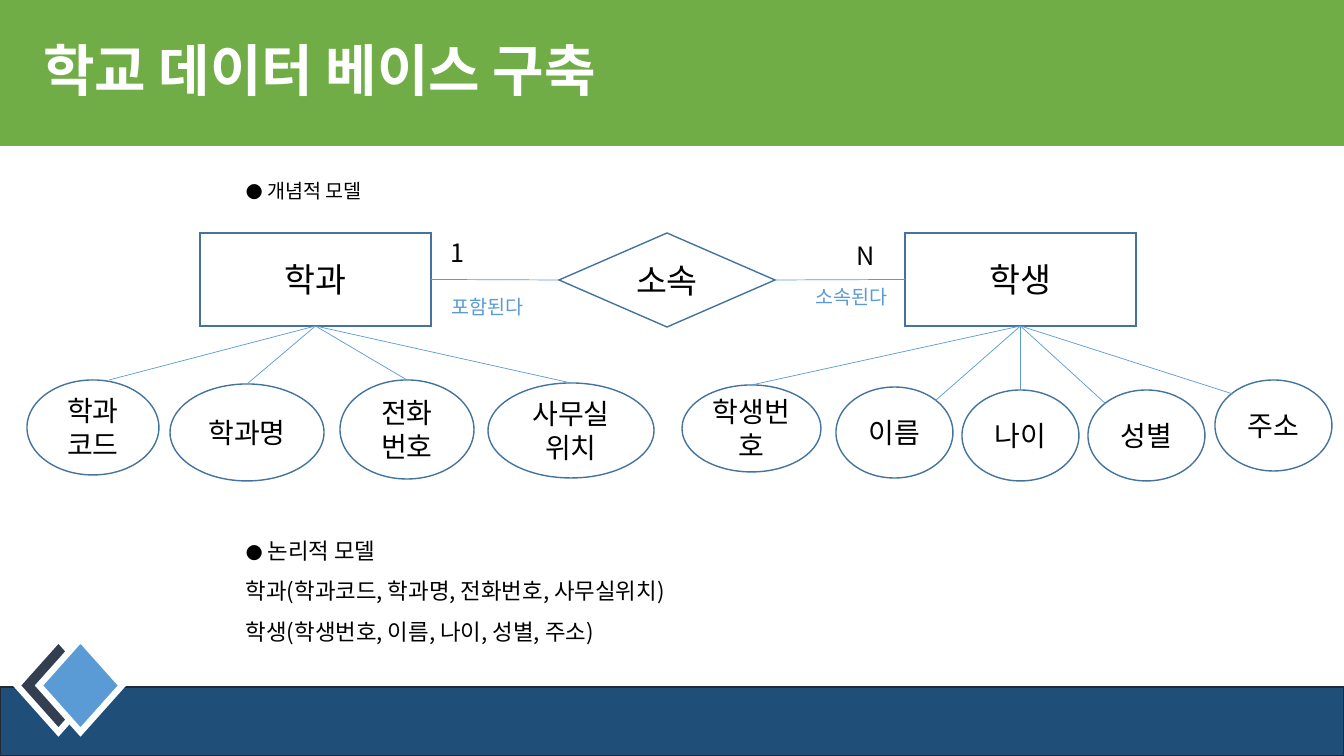
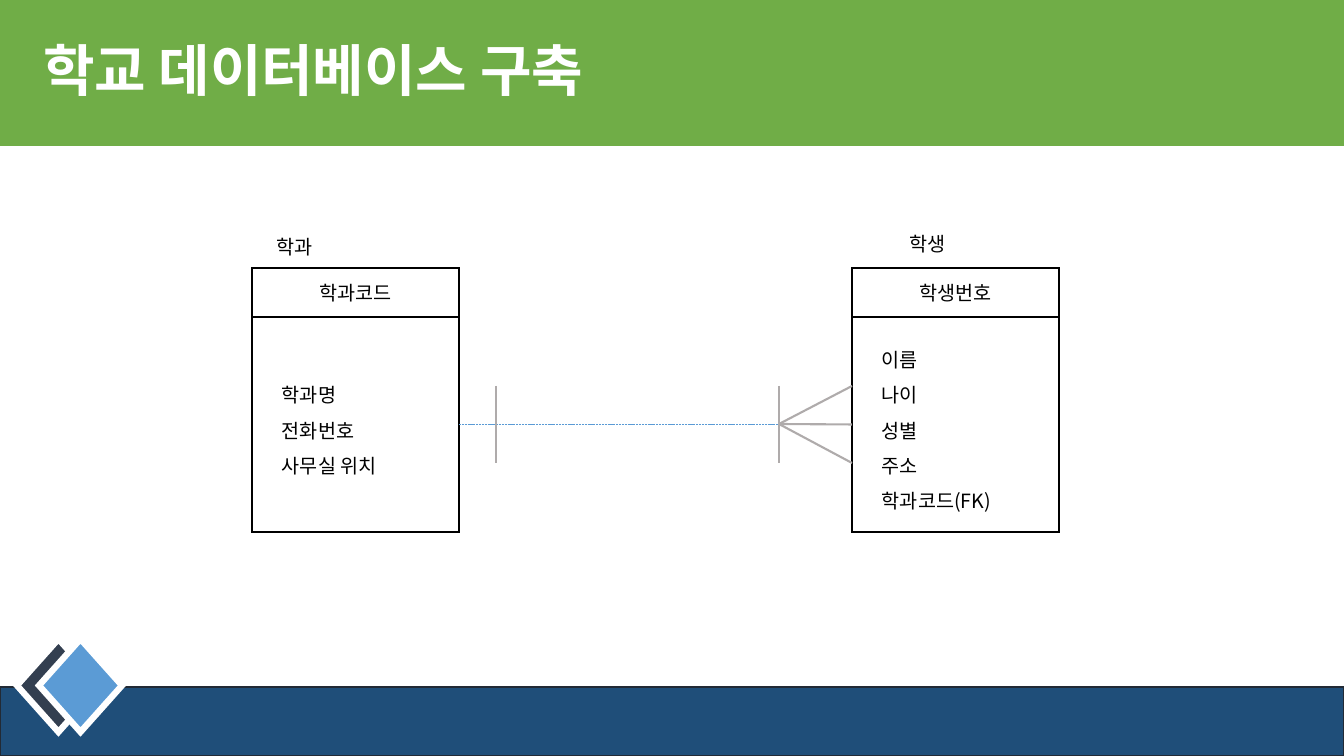
import lxml.etree
import pptx
import pptx.dml.color
import pptx.enum.dml
import pptx.enum.shapes
import pptx.enum.text
import pptx.oxml.ns
import pptx.util

FONT = "Noto Sans CJK KR"
SLIDE_W, SLIDE_H = 1344, 756
EMU_PER_PX = 12192000 / SLIDE_W

WHITE, BLACK = "FFFFFF", "000000"
GREEN, NAVY, NAVY_EDGE, SLATE = "70AD47", "1F4E79", "222A35", "333F50"
BLUE, BLUE_EDGE, GRAY = "5B9BD5", "43739E", "AFABAB"

PRESET = pptx.enum.shapes.MSO_SHAPE
ALIGN = pptx.enum.text.PP_ALIGN
MIDDLE = pptx.enum.text.MSO_ANCHOR.MIDDLE
TOP, LEFT, BOTTOM, RIGHT = range(4)

# Where a line meets an attribute ellipse, as fractions of its width and height
AT_TOP, AT_UPPER_LEFT, AT_UPPER_RIGHT = (0.5, 0), (0.15, 0.15), (0.85, 0.15)

DEPARTMENT_ATTRIBUTES = [
    ("학과코드", (0, 147, 132, 95), (0.62, 0)),
    ("학과명", (143, 151, 154, 97), AT_TOP),
    ("전화번호", (313, 147, 134, 99), AT_TOP),
    ("사무실위치", (461, 150, 166, 95), AT_TOP),
]
STUDENT_ATTRIBUTES = [
    ("학생번호", (0, 152, 139, 87), AT_TOP),
    ("이름", (154, 154, 117, 91), AT_UPPER_RIGHT),
    ("나이", (280, 157, 117, 91), AT_TOP),
    ("성별", (406, 157, 117, 91), AT_UPPER_LEFT),
    ("주소", (533, 147, 117, 91), AT_UPPER_LEFT),
]


def px(*lengths):
    return [round(length * EMU_PER_PX) for length in lengths]


def color(hex_code):
    return pptx.dml.color.RGBColor.from_string(hex_code)


def add_run(paragraph, text, size, hex_code=BLACK, bold=False):
    run = paragraph.add_run()
    run.text = text
    run.font.size = pptx.util.Pt(size)
    run.font.bold = bold
    run.font.color.rgb = color(hex_code)
    run.font.name = FONT
    east_asian = lxml.etree.SubElement(run.font._element, pptx.oxml.ns.qn("a:ea"))
    east_asian.set("typeface", FONT)


def write(shape, paragraphs, align=ALIGN.CENTER, spacing=None):
    """Fill a shape with paragraphs, each a list of add_run arguments."""
    frame = shape.text_frame
    frame.word_wrap = True
    for index, runs in enumerate(paragraphs):
        paragraph = frame.add_paragraph() if index else frame.paragraphs[0]
        paragraph.alignment = align
        if spacing:
            paragraph.line_spacing = spacing
        for run in runs:
            add_run(paragraph, *run)
    return frame


def add_box(slide, preset, box, fill, edge, weight=1):
    shape = slide.shapes.add_shape(preset, *px(*box))
    shape.shadow.inherit = False
    shape.fill.solid()
    shape.fill.fore_color.rgb = color(fill)
    shape.line.color.rgb = color(edge)
    shape.line.width = pptx.util.Pt(weight)
    outline = shape._element.spPr.find(pptx.oxml.ns.qn("a:ln"))
    lxml.etree.SubElement(outline, pptx.oxml.ns.qn("a:miter")).set("lim", "800000")
    shape.text_frame.vertical_anchor = MIDDLE
    return shape


def add_label(slide, box, text, size, hex_code=BLACK):
    label = slide.shapes.add_textbox(*px(*box))
    write(label, [[(text, size, hex_code)]]).vertical_anchor = MIDDLE


def add_line(slide, start, end, hex_code=BLUE, weight=0.5, dash=None):
    """Draw a line; each end is a point in px or a (shape, side) pair."""
    joins = [point if hasattr(point[0], "shape_id") else None for point in (start, end)]
    x1, y1 = (0, 0) if joins[0] else px(*start)
    x2, y2 = (0, 0) if joins[1] else px(*end)
    line = slide.shapes.add_connector(
        pptx.enum.shapes.MSO_CONNECTOR.STRAIGHT, x1, y1, x2, y2)
    if joins[0]:
        line.begin_connect(*joins[0])
    if joins[1]:
        line.end_connect(*joins[1])
    line.line.color.rgb = color(hex_code)
    line.line.width = pptx.util.Pt(weight)
    if dash:
        line.line.dash_style = dash
    lxml.etree.SubElement(line._element.spPr, pptx.oxml.ns.qn("a:effectLst"))


def add_title_band(slide, title, box):
    band = slide.shapes.title
    band.left, band.top, band.width, band.height = px(*box)
    band.fill.solid()
    band.fill.fore_color.rgb = color(GREEN)
    frame = write(band, [[(title, 40, WHITE, True)]], ALIGN.LEFT, 0.9)
    frame.auto_size = pptx.enum.text.MSO_AUTO_SIZE.NONE
    frame.vertical_anchor = MIDDLE
    frame.margin_left, = px(43)


def add_footer(slide, box):
    left, top, _, _ = box
    add_box(slide, PRESET.RECTANGLE, box, NAVY, NAVY_EDGE)
    for offset, fill in ((17, SLATE), (39, BLUE)):
        add_box(slide, PRESET.DIAMOND, (left + offset, top - 48, 83, 93),
                fill, WHITE, 4.5)


def new_slide(deck, title):
    slide = deck.slides.add_slide(deck.slide_layouts[5])
    add_title_band(slide, title, (0, 0, SLIDE_W, 146))
    add_footer(slide, (0, 687, SLIDE_W, 69))
    return slide


def add_entity(slide, origin, name, name_offset, attributes):
    """Draw an entity over its attribute ellipses, offset from origin."""
    left, top = origin
    entity = add_box(slide, PRESET.RECTANGLE, (left + name_offset, top, 231, 93),
                     WHITE, BLUE_EDGE)
    write(entity, [[(name, 24)]])
    for text, (dx, dy, width, height), contact in attributes:
        x, y = left + dx, top + dy
        attribute = add_box(slide, PRESET.OVAL, (x, y, width, height),
                            WHITE, BLUE_EDGE)
        write(attribute, [[(text, 20)]])
        if contact == AT_TOP:
            end = (attribute, TOP)
        else:
            end = (round(x + contact[0] * width), round(y + contact[1] * height))
        add_line(slide, (entity, BOTTOM), end)
    return entity


def add_relationship(slide, box, department, student):
    left, top, width, height = box
    right = left + width
    belongs = add_box(slide, PRESET.DIAMOND, box, WHITE, BLUE_EDGE)
    write(belongs, [[("소속", 24)]])
    add_line(slide, (department, RIGHT), (belongs, LEFT))
    add_line(slide, (belongs, RIGHT), (student, LEFT))
    add_label(slide, (left - 125, top + 2, 48, 34), "1", 18)
    add_label(slide, (right + 71, top + 4, 39, 36), "N", 18)
    add_label(slide, (left - 122, top + 53, 101, 41), "포함된다", 14, BLUE)
    add_label(slide, (right + 26, top + 52, 102, 24), "소속된다", 14, BLUE)


def add_model_text(slide, box, heading, size, lines=(), spacing=None):
    text = slide.shapes.add_textbox(*px(*box))
    paragraphs = [[("●", 12), (" " + heading, size)]]
    paragraphs += [[(line, size)] for line in lines]
    write(text, paragraphs, ALIGN.LEFT, spacing)


def add_schema(slide, box, name, name_offset, key, columns):
    """Draw a table schema; return its column box."""
    left, top, width, height = box
    dx, dy = name_offset
    key_height = 49
    add_label(slide, (left + dx, top + dy, 85, 44), name, 14)
    body = add_box(slide, PRESET.RECTANGLE,
                   (left, top + key_height, width, height - key_height), WHITE, BLACK)
    frame = write(body, [[(column, 14)] for column in columns], ALIGN.LEFT, 1.5)
    frame.margin_left, = px(30)
    header = add_box(slide, PRESET.RECTANGLE, (left, top, width, key_height),
                     WHITE, BLACK)
    write(header, [[(key, 14)]])
    return body


def add_crow_foot(slide, box, department, student):
    left, top, width, height = box
    right, bottom = left + width, top + height
    one, many = left + 37, right - 73
    fork = (many, top + height // 2)
    add_line(slide, (department, RIGHT), (student, LEFT),
             dash=pptx.enum.dml.MSO_LINE.SQUARE_DOT)
    strokes = [((x, top), (x, bottom)) for x in (one, many)]
    strokes += [(fork, end) for end in ((right, top), (right, bottom), (student, LEFT))]
    for start, end in strokes:
        add_line(slide, start, end, GRAY, 1.5)


def build_concept_slide(deck):
    slide = new_slide(deck, "학교 데이터 베이스 구축")
    department = add_entity(slide, (27, 233), "학과", 173, DEPARTMENT_ATTRIBUTES)
    student = add_entity(slide, (682, 233), "학생", 223, STUDENT_ATTRIBUTES)
    add_relationship(slide, (559, 233, 216, 94), department, student)
    add_model_text(slide, (236, 174, 157, 34), "개념적 모델", 14)
    add_model_text(slide, (236, 519, 781, 127), "논리적 모델", 16, [
        "학과(학과코드, 학과명, 전화번호, 사무실위치)",
        "학생(학생번호, 이름, 나이, 성별, 주소)",
    ], 1.5)


def build_schema_slide(deck):
    slide = new_slide(deck, "학교 데이터베이스 구축")
    department = add_schema(slide, (252, 268, 207, 264), "학과", (0, -43), "학과코드",
                            ["학과명", "전화번호", "사무실 위치"])
    student = add_schema(slide, (852, 268, 207, 264), "학생", (33, -46), "학생번호",
                         ["이름", "나이", "성별", "주소", "학과코드(FK)"])
    add_crow_foot(slide, (459, 386, 393, 77), department, student)


def main():
    deck = pptx.Presentation()
    deck.slide_width, deck.slide_height = px(SLIDE_W, SLIDE_H)
    build_concept_slide(deck)
    build_schema_slide(deck)
    deck.save("out.pptx")


if __name__ == "__main__":
    main()
